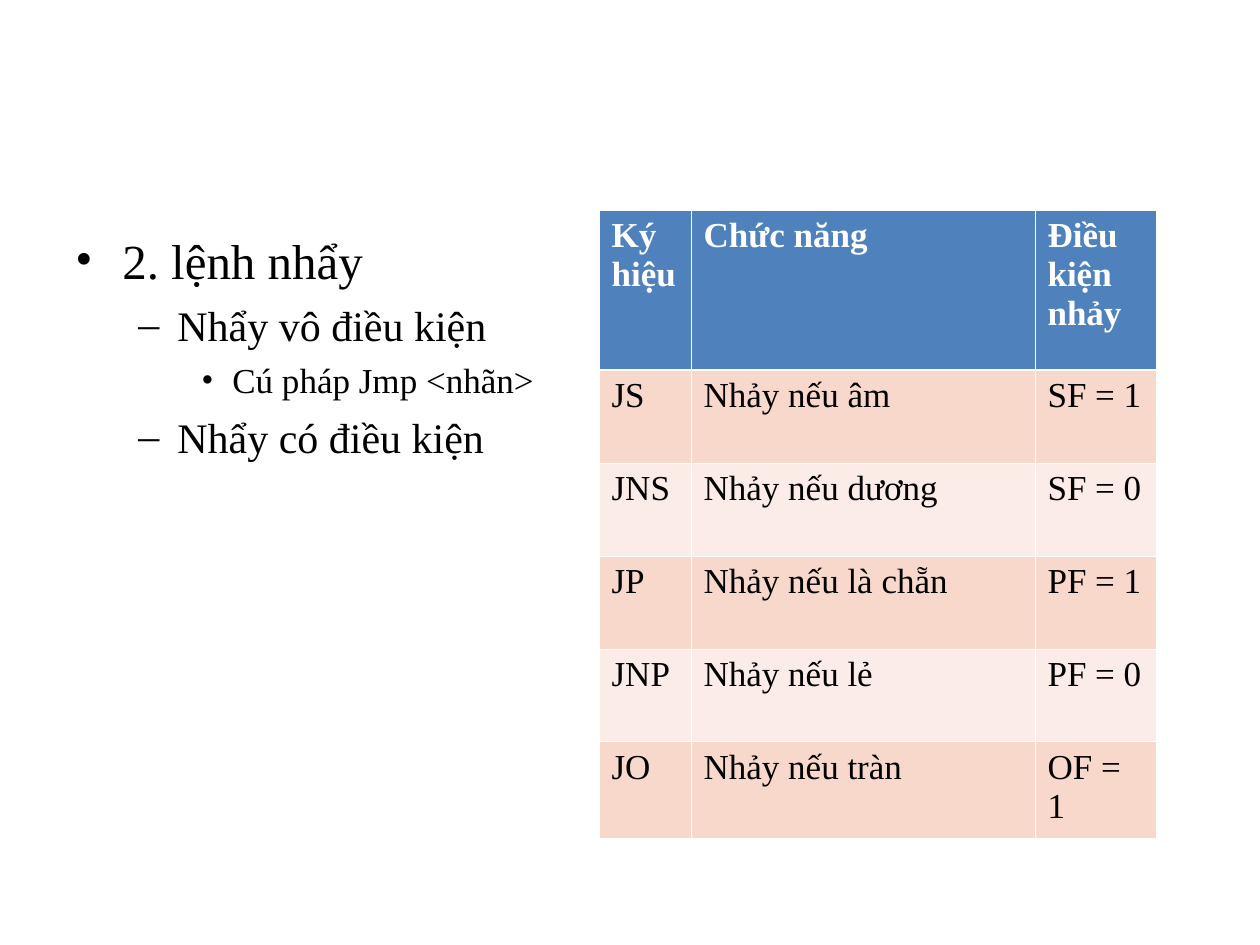
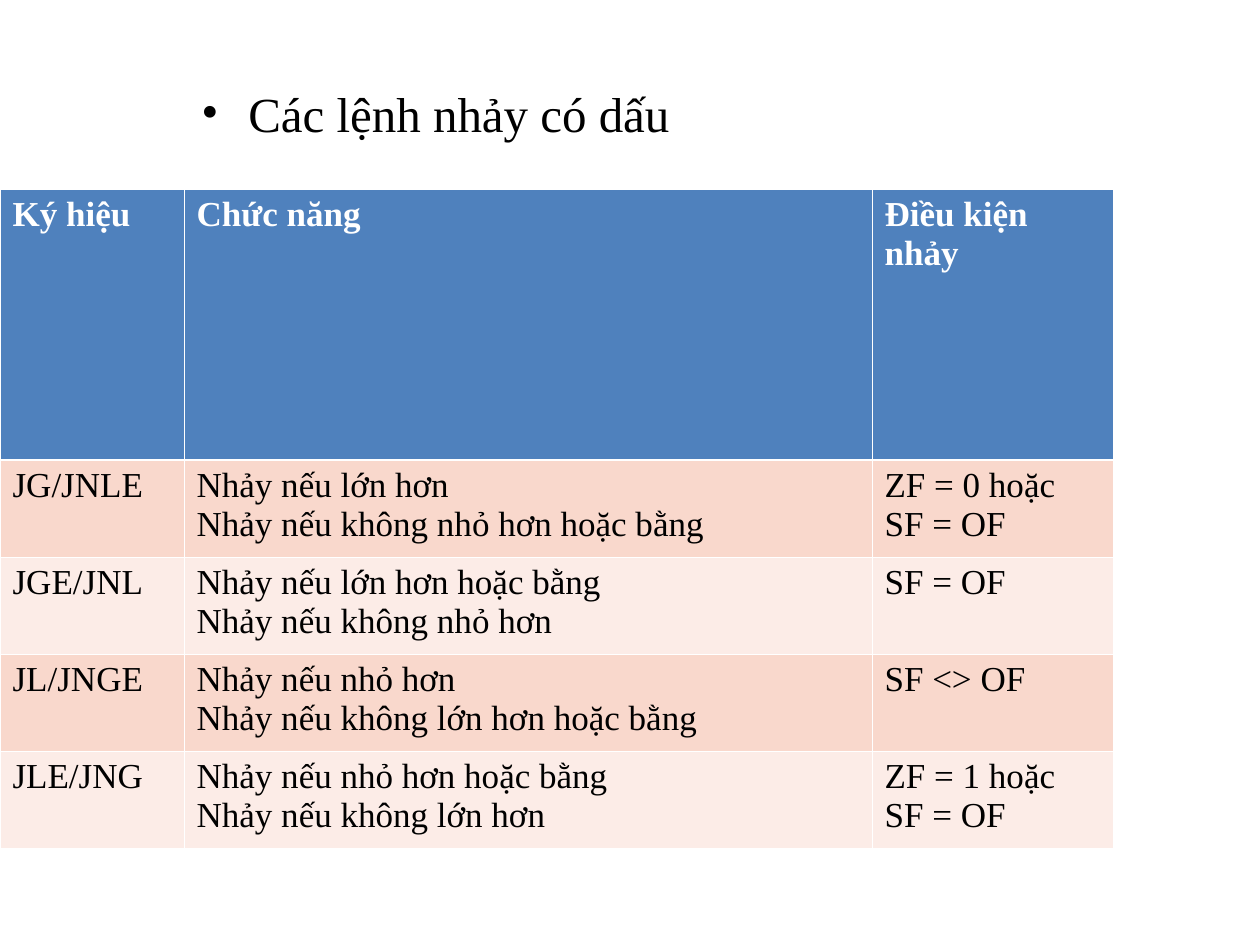
from dataclasses import dataclass

from lxml import etree
from pptx import Presentation
from pptx.dml.color import RGBColor
from pptx.oxml.ns import qn
from pptx.util import Pt

EMU_PER_PX = 914400 / 126
BLANK_LAYOUT = 6


def px(length):
    return round(length * EMU_PER_PX)


@dataclass(frozen=True)
class Theme:
    font: str = "Times New Roman"
    ink: str = "000000"
    paper: str = "FFFFFF"
    header: str = "4F81BD"
    bands: tuple = ("F9D8CC", "FCECE7")
    table_size: int = 20
    thin_border: float = 0.45
    header_border: float = 1.47
    # One entry per outline level: bullet, text size, space before, indent, hanging
    levels: tuple = (("•", 28, 7, 47, 47),
                     ("–", 24, 6, 102, 39),
                     ("•", 20, 5, 157, 31))


class SlideWriter:
    def __init__(self, deck, theme):
        self.deck = deck
        self.theme = theme
        self.slide = None

    def new_slide(self):
        layout = self.deck.slide_layouts[BLANK_LAYOUT]
        self.slide = self.deck.slides.add_slide(layout)

    def style(self, paragraph, size, color, bold=False):
        font = paragraph.font
        font.name, font.size, font.bold = self.theme.font, Pt(size), bold
        font.color.rgb = RGBColor.from_string(color)

    def outline(self, left, top, width, height, items):
        """Bulleted list; items are (level, text) pairs."""
        box = self.slide.shapes.add_textbox(px(left), px(top), px(width), px(height))
        frame = box.text_frame
        frame.word_wrap = True
        frame.margin_top = px(10)
        frame.text = "\n".join(text for _, text in items)
        for index, (paragraph, (level, _)) in enumerate(zip(frame.paragraphs, items)):
            bullet, size, space, indent, hanging = self.theme.levels[level]
            paragraph.level = level
            paragraph.space_before = Pt(space if index else 0)
            self.add_bullet(paragraph, bullet, indent, hanging)
            self.style(paragraph, size, self.theme.ink)

    def add_bullet(self, paragraph, bullet, indent, hanging):
        properties = paragraph._p.get_or_add_pPr()
        properties.set("marL", str(px(indent)))
        properties.set("indent", str(-px(hanging)))
        color = etree.SubElement(properties, qn("a:buClr"))
        etree.SubElement(color, qn("a:srgbClr"), val=self.theme.ink)
        etree.SubElement(properties, qn("a:buFont"), typeface=self.theme.font)
        etree.SubElement(properties, qn("a:buChar"), char=bullet)

    def table(self, left, top, widths, heights, rows):
        """Table with a coloured header row and alternating bands below it."""
        frame = self.slide.shapes.add_table(
            len(rows), len(widths), px(left), px(top), px(sum(widths)), px(sum(heights)))
        table = frame.table
        table.horz_banding = False
        for column, width in zip(table.columns, widths):
            column.width = px(width)
        for row, height in zip(table.rows, heights):
            row.height = px(height)
        for row_index, texts in enumerate(rows):
            for column_index, text in enumerate(texts):
                self.fill_cell(table.cell(row_index, column_index), row_index, text)

    def fill_cell(self, cell, row_index, text):
        theme = self.theme
        is_header = row_index == 0
        fill = theme.header if is_header else theme.bands[(row_index - 1) % 2]
        cell.text = text
        cell.fill.solid()
        cell.fill.fore_color.rgb = RGBColor.from_string(fill)
        for paragraph in cell.text_frame.paragraphs:
            self.style(paragraph, theme.table_size,
                       theme.paper if is_header else theme.ink, is_header)
        top = theme.header_border if row_index == 1 else theme.thin_border
        bottom = theme.header_border if is_header else theme.thin_border
        self.add_borders(cell, L=theme.thin_border, R=theme.thin_border, T=top, B=bottom)

    def add_borders(self, cell, **widths):
        properties = cell._tc.get_or_add_tcPr()
        for position, (side, width) in enumerate(widths.items()):
            line = etree.Element(qn(f"a:ln{side}"), w=str(Pt(width)))
            fill = etree.SubElement(line, qn("a:solidFill"))
            etree.SubElement(fill, qn("a:srgbClr"), val=self.theme.paper)
            properties.insert(position, line)


HEADINGS = ("Ký hiệu", "Chức năng", "Điều kiện nhảy")


def add_flag_jumps(writer):
    writer.new_slide()
    writer.outline(63, 220, 557, 624, [
        (0, "2. lệnh nhẩy"),
        (1, "Nhẩy vô điều kiện"),
        (2, "Cú pháp Jmp <nhãn>"),
        (1, "Nhẩy có điều kiện"),
    ])
    writer.table(599, 210, (92, 344, 121), (160, 93, 93, 93, 93, 96), [
        HEADINGS,
        ("JS", "Nhảy nếu âm", "SF = 1"),
        ("JNS", "Nhảy nếu dương", "SF = 0"),
        ("JP", "Nhảy nếu là chẵn", "PF = 1"),
        ("JNP", "Nhảy nếu lẻ", "PF = 0"),
        ("JO", "Nhảy nếu tràn", "OF = 1"),
    ])


def add_signed_jumps(writer):
    writer.new_slide()
    writer.outline(189, 73, 557, 624, [(0, "Các lệnh nhảy có dấu")])
    writer.table(0, 189, (184, 688, 241), (271, 97, 97, 97, 97), [
        HEADINGS,
        ("JG/JNLE", "Nhảy nếu lớn hơn\nNhảy nếu không nhỏ hơn hoặc bằng",
         "ZF = 0 hoặc SF = OF"),
        ("JGE/JNL", "Nhảy nếu lớn hơn hoặc bằng\nNhảy nếu không nhỏ hơn", "SF = OF"),
        ("JL/JNGE", "Nhảy nếu nhỏ hơn\nNhảy nếu không lớn hơn hoặc bằng", "SF <> OF"),
        ("JLE/JNG", "Nhảy nếu nhỏ hơn hoặc bằng\nNhảy nếu không lớn hơn",
         "ZF = 1 hoặc SF = OF"),
    ])


def main():
    deck = Presentation()
    deck.slide_width, deck.slide_height = px(1260), px(945)
    writer = SlideWriter(deck, Theme())
    add_flag_jumps(writer)
    add_signed_jumps(writer)
    deck.save("out.pptx")


if __name__ == "__main__":
    main()
